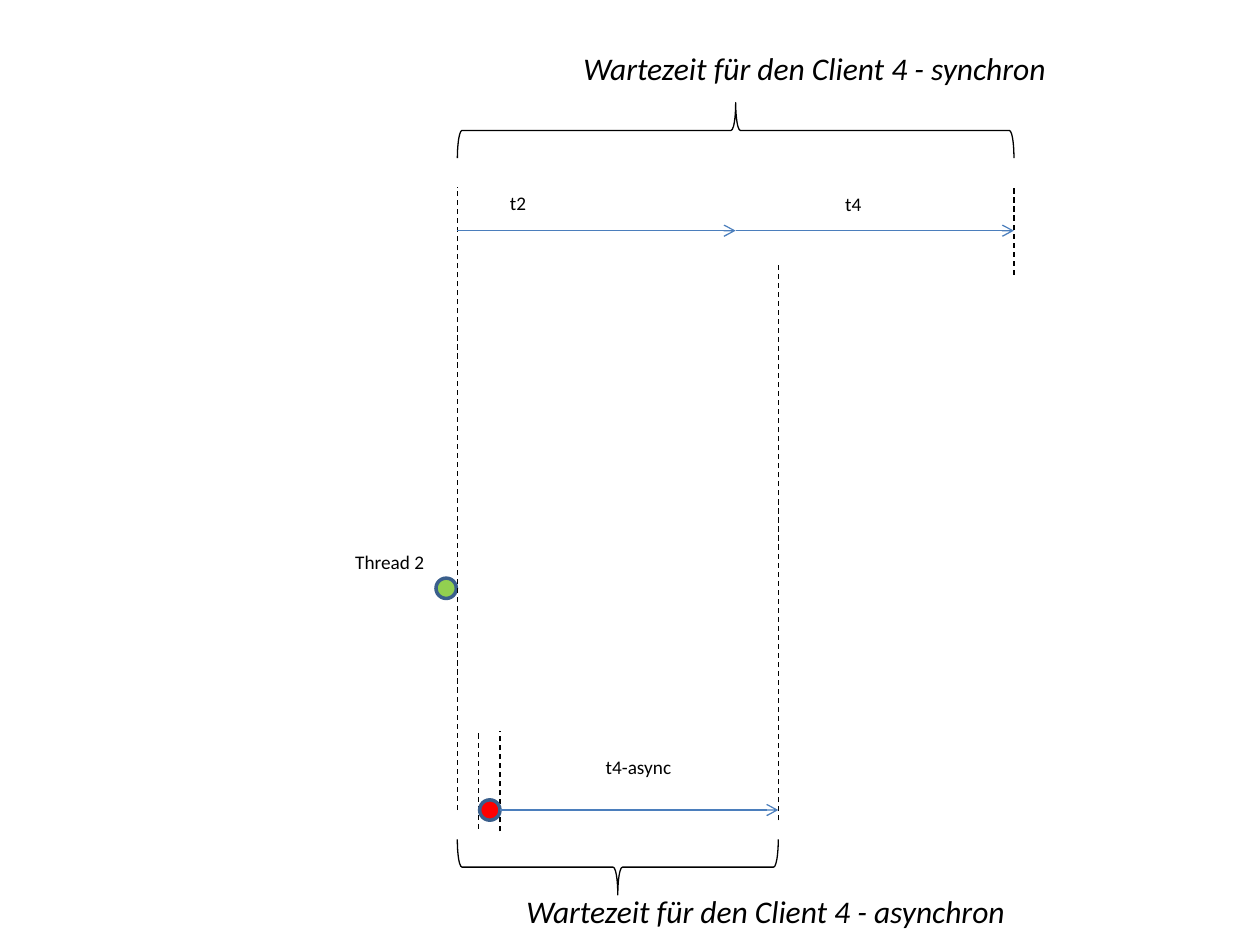
from lxml import etree
from pptx import Presentation
from pptx.dml.color import RGBColor
from pptx.enum.dml import MSO_LINE
from pptx.enum.shapes import MSO_CONNECTOR, MSO_SHAPE
from pptx.enum.text import MSO_AUTO_SIZE
from pptx.oxml.ns import qn
from pptx.util import Cm, Pt

STRAIGHT = MSO_CONNECTOR.STRAIGHT
OVAL = MSO_SHAPE.OVAL
LEFT_BRACE = MSO_SHAPE.LEFT_BRACE
DASH = MSO_LINE.DASH
FIT_SHAPE = MSO_AUTO_SIZE.SHAPE_TO_FIT_TEXT

COLORS = {
    "black": "000000",
    "arrow": "4B7EBC",
    "ring": "3A5F8C",
    "green": "92D050",
    "red": "FF0000",
}
FONT = "Calibri"
DOT = 0.41
BRACE_DEPTH = 1.12

DURATION = 5.61
START = 9.22
T2_END = START + DURATION
SYNC_END = T2_END + DURATION
ASYNC_CALL = 9.65
ASYNC_START = 10.08
ASYNC_END = ASYNC_START + DURATION
SYNC_Y = 4.65
ASYNC_Y = 16.33


def color(name):
    return RGBColor.from_string(COLORS[name])


def add_line(s, x1, y1, x2, y2, name):
    line = s.shapes.add_connector(STRAIGHT, Cm(x1), Cm(y1), Cm(x2), Cm(y2))
    line.line.color.rgb = color(name)
    line.line.width = Pt(0.75)
    etree.SubElement(line._element.spPr, qn("a:effectLst"))
    return line


def add_marker(s, x, bottom, top):
    add_line(s, x, bottom, x, top, "black").line.dash_style = DASH


def add_arrow(s, x1, x2, y):
    arrow = add_line(s, x1, y, x2, y, "arrow")
    etree.SubElement(arrow.line._get_or_add_ln(), qn("a:tailEnd"), type="arrow")


def add_dot(s, left, center_y, fill):
    sp = s.shapes.add_shape(OVAL, Cm(left), Cm(center_y - DOT / 2), Cm(DOT), Cm(DOT))
    sp.shadow.inherit = False
    sp.fill.solid()
    sp.fill.fore_color.rgb = color(fill)
    sp.line.color.rgb = color("ring")
    sp.line.width = Pt(2)


def add_brace(s, x1, x2, center_y, rotation):
    span = x2 - x1
    left = (x1 + x2 - BRACE_DEPTH) / 2
    sp = s.shapes.add_shape(
        LEFT_BRACE, Cm(left), Cm(center_y - span / 2), Cm(BRACE_DEPTH), Cm(span)
    )
    sp.rotation = rotation
    sp.shadow.inherit = False
    sp.fill.background()
    sp.line.color.rgb = color("black")
    sp.line.width = Pt(0.75)


def add_label(s, text, left, top, width, height=0.74, size=11, italic=False):
    tf = s.shapes.add_textbox(Cm(left), Cm(top), Cm(width), Cm(height)).text_frame
    tf.word_wrap = False
    tf.auto_size = FIT_SHAPE
    p = tf.paragraphs[0]
    p.text = text
    p.font.name = FONT
    p.font.size = Pt(size)
    p.font.italic = italic
    p.font.color.rgb = color("black")


def add_caption(s, text, left, top, width):
    add_label(s, text, left, top, width, height=1.02, size=18, italic=True)


def main():
    prs = Presentation()
    prs.slide_width, prs.slide_height = Cm(25.4), Cm(19.05)
    s = prs.slides.add_slide(prs.slide_layouts[6])

    add_dot(s, 8.79, 11.86, "green")
    add_label(s, "Thread 2", 6.91, 10.97, 1.93)

    for x, bottom, top in (
        (START, ASYNC_Y, 3.76),
        (ASYNC_CALL, 16.71, 14.73),
        (ASYNC_START, 16.76, 14.73),
        (ASYNC_END, 16.54, 5.33),
        (SYNC_END, 5.54, 3.73),
    ):
        add_marker(s, x, bottom, top)

    add_dot(s, ASYNC_START - DOT, ASYNC_Y, "red")
    add_arrow(s, ASYNC_START, ASYNC_END, ASYNC_Y)
    add_label(s, "t4-async", 11.96, 15.11, 1.85)
    add_brace(s, START, ASYNC_END, 17.48, 270)
    add_caption(s, "Wartezeit für den Client 4 - asynchron", 10.36, 17.86, 10.26)

    add_arrow(s, START, T2_END, SYNC_Y)
    add_arrow(s, T2_END, SYNC_END, SYNC_Y)
    add_label(s, "t2", 10.03, 3.73, 0.84)
    add_label(s, "t4", 16.79, 3.76, 0.84)
    add_brace(s, START, SYNC_END, 2.63, 90)
    add_caption(s, "Wartezeit für den Client 4 - synchron", 11.51, 0.86, 9.93)

    prs.save("out.pptx")


if __name__ == "__main__":
    main()
